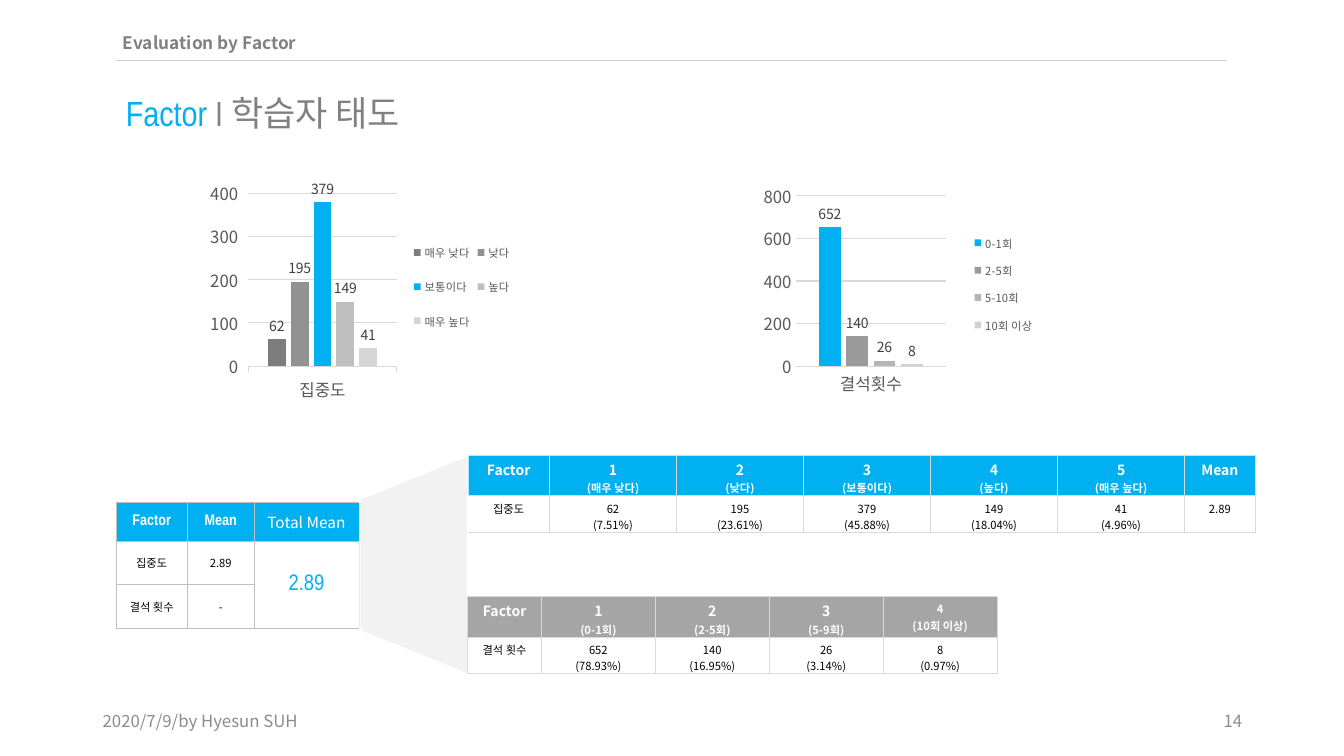
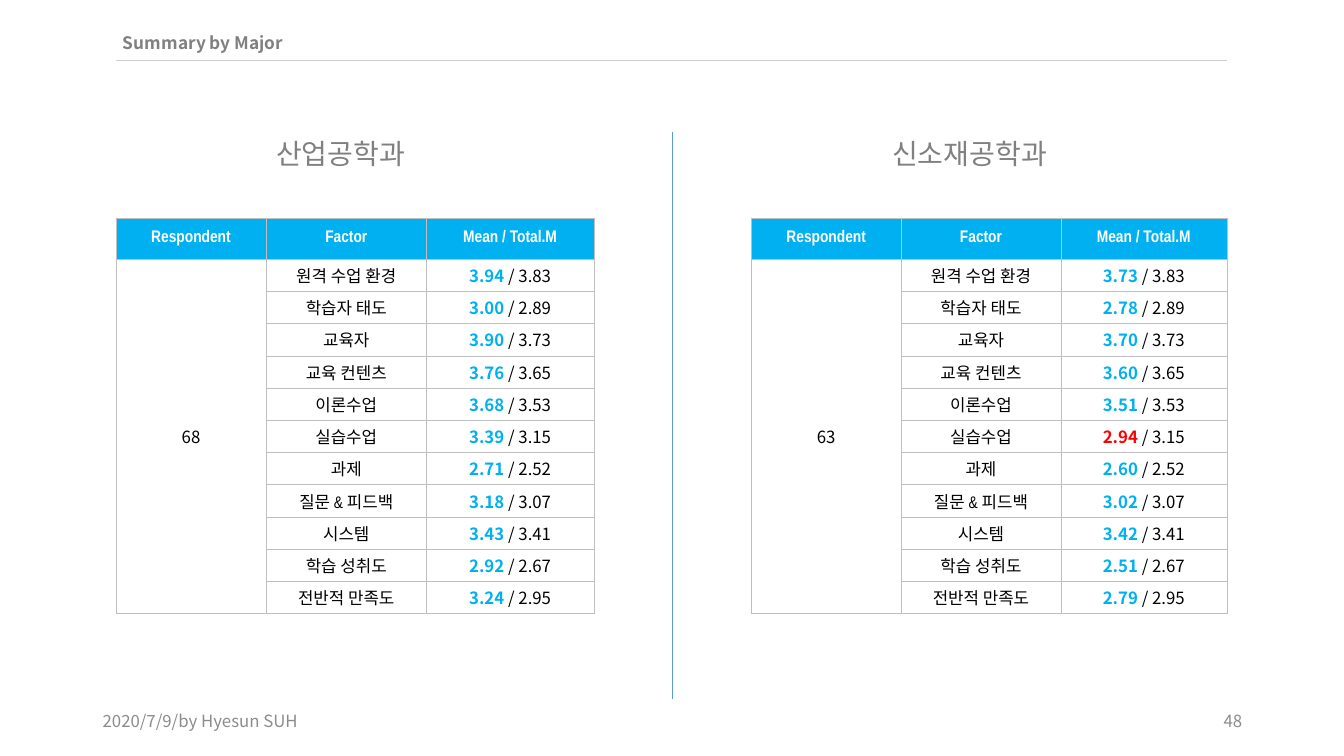
"""Build two survey slides: one factor's evaluation and a summary by major."""
from dataclasses import dataclass
from typing import NamedTuple

from lxml import etree
from pptx import Presentation
from pptx.chart.data import CategoryChartData
from pptx.dml.color import RGBColor
from pptx.enum.chart import XL_CHART_TYPE, XL_LABEL_POSITION, XL_LEGEND_POSITION, XL_TICK_MARK
from pptx.enum.shapes import MSO_CONNECTOR, MSO_SHAPE
from pptx.enum.text import MSO_ANCHOR, MSO_AUTO_SIZE, PP_ALIGN
from pptx.oxml.ns import qn
from pptx.util import Inches, Pt

COLUMNS = XL_CHART_TYPE.COLUMN_CLUSTERED
OUTSIDE_END = XL_LABEL_POSITION.OUTSIDE_END
LEGEND_BOTTOM = XL_LEGEND_POSITION.BOTTOM
TICK_OUT, TICK_NONE = XL_TICK_MARK.OUTSIDE, XL_TICK_MARK.NONE
STRAIGHT = MSO_CONNECTOR.STRAIGHT
FUNNEL = MSO_SHAPE.FLOWCHART_MANUAL_OPERATION
TOP, MIDDLE = MSO_ANCHOR.TOP, MSO_ANCHOR.MIDDLE
GROW = MSO_AUTO_SIZE.SHAPE_TO_FIT_TEXT
LEFT, CENTER, RIGHT = PP_ALIGN.LEFT, PP_ALIGN.CENTER, PP_ALIGN.RIGHT

ACCENT = RGBColor(0x00, 0xB0, 0xF0)
ALERT = RGBColor(0xFF, 0x00, 0x00)
WHITE = RGBColor(0xFF, 0xFF, 0xFF)
BLACK = RGBColor(0x00, 0x00, 0x00)
TITLE_GRAY = RGBColor(0x80, 0x80, 0x80)
FOOTER_GRAY = RGBColor(0x8C, 0x8C, 0x8C)
RULE_GRAY = RGBColor(0xD0, 0xCE, 0xCE)
BORDER_GRAY = RGBColor(0xBF, 0xBF, 0xBF)
GRID_GRAY = RGBColor(0xD9, 0xD9, 0xD9)
HEADER_GRAY = RGBColor(0xA5, 0xA5, 0xA5)
FUNNEL_GRAY = RGBColor(0xF2, 0xF2, 0xF2)
AXIS_GRAY = RGBColor(0x59, 0x59, 0x59)
LABEL_GRAY = RGBColor(0x40, 0x40, 0x40)
DIVIDER_BLUE = RGBColor(0x5B, 0x9B, 0xD5)

SANS = "Noto Sans CJK KR"
NARROW = "Arial Narrow"


class Box(NamedTuple):
    """A rectangle in inches, or in fractions of a chart."""
    left: float
    top: float
    width: float
    height: float


class Span(NamedTuple):
    """A piece of text with one format."""
    text: str
    size: float
    color: RGBColor = BLACK
    font: str = SANS
    bold: bool = False


class Cell(NamedTuple):
    """A table cell: one span per line, or several spans on a single line."""
    lines: tuple[tuple[Span, ...], ...]
    fill: RGBColor | None = None
    rows: int = 1


class Bar(NamedTuple):
    """One chart series with a single value."""
    name: str
    value: int
    color: RGBColor


@dataclass
class Grid:
    """A table's place, measures and border."""
    left: float
    top: float
    columns: list[float]
    rows: list[float]
    border: RGBColor
    border_width: float
    anchor: MSO_ANCHOR
    margins: tuple[float, float]


@dataclass
class ColumnChart:
    """A column chart with one category."""
    box: Box
    category: str
    bars: list[Bar]
    step: int
    tick: XL_TICK_MARK
    plot: Box
    legend: Box


def gray(level: int) -> RGBColor:
    """Return a neutral gray."""
    return RGBColor(level, level, level)


def inches(values: tuple[float, ...]) -> list[Inches]:
    """Turn numbers into lengths."""
    return [Inches(value) for value in values]


def add_span(para, text: str, *, size: float, color: RGBColor, font: str, bold: bool) -> None:
    """Append formatted text to a paragraph."""
    span = para.add_run()
    span.text = text
    span.font.size = Pt(size)
    span.font.color.rgb = color
    span.font.name = font
    span.font.bold = bold
    etree.SubElement(span._r.get_or_add_rPr(), qn("a:ea"), typeface=SANS)


def fill_para(para, spans: tuple[Span, ...], align: PP_ALIGN) -> None:
    """Write spans into a paragraph."""
    para.alignment = align
    for span in spans:
        add_span(para, **span._asdict())


def add_text(page, place: Box, *spans: Span, align: PP_ALIGN = LEFT, anchor: MSO_ANCHOR = TOP,
             insets: tuple[float, float] = (0.1, 0.05), grow: bool = True) -> None:
    """Add a text box of one paragraph."""
    frame = page.shapes.add_textbox(*inches(place)).text_frame
    frame.word_wrap = True
    frame.vertical_anchor = anchor
    frame.margin_left = frame.margin_right = Inches(insets[0])
    frame.margin_top = frame.margin_bottom = Inches(insets[1])
    if grow:
        frame.auto_size = GROW
    fill_para(frame.paragraphs[0], spans, align)


def add_line(page, ends: tuple[float, float, float, float], color: RGBColor) -> None:
    """Add a thin straight line."""
    line = page.shapes.add_connector(STRAIGHT, *inches(ends))
    line.line.color.rgb = color
    line.line.width = Pt(0.5)
    etree.SubElement(line._element.spPr, qn("a:effectLst"))


def set_borders(cell, color: RGBColor, width: float) -> None:
    """Draw all four borders of a table cell."""
    properties = cell._tc.get_or_add_tcPr()
    for index, side in enumerate(("lnL", "lnR", "lnT", "lnB")):
        line = etree.Element(qn(f"a:{side}"), w=str(Pt(width)))
        fill = etree.SubElement(line, qn("a:solidFill"))
        etree.SubElement(fill, qn("a:srgbClr"), val=str(color))
        properties.insert(index, line)


def add_table(page, grid: Grid, content: list[list[Cell | None]]) -> None:
    """Add a table; None marks a cell covered by a merge."""
    place = Box(grid.left, grid.top, sum(grid.columns), sum(grid.rows))
    table = page.shapes.add_table(len(grid.rows), len(grid.columns), *inches(place)).table
    table.first_row = table.horz_banding = False
    for column, width in zip(table.columns, grid.columns):
        column.width = Inches(width)
    for r, height in enumerate(grid.rows):
        table.rows[r].height = Inches(height)
        for c, item in enumerate(content[r]):
            cell = table.cell(r, c)
            cell.vertical_anchor = grid.anchor
            cell.margin_top, cell.margin_bottom = inches(grid.margins)
            if item and item.fill is not None:
                cell.fill.solid()
                cell.fill.fore_color.rgb = item.fill
            else:
                cell.fill.background()
            set_borders(cell, grid.border, grid.border_width)
            if item is None:
                continue
            if item.rows > 1:
                cell.merge(table.cell(r + item.rows - 1, c))
            for index, spans in enumerate(item.lines):
                frame = cell.text_frame
                para = frame.add_paragraph() if index else frame.paragraphs[0]
                fill_para(para, spans, CENTER)


def set_layout(parent, place: Box, index: int, inner: bool = False) -> None:
    """Give a chart part a fixed place."""
    for old in parent.findall(qn("c:layout")):
        parent.remove(old)
    layout = etree.Element(qn("c:layout"))
    manual = etree.SubElement(layout, qn("c:manualLayout"))
    values = {"layoutTarget": "inner"} if inner else {}
    values |= {"xMode": "edge", "yMode": "edge"}
    values |= {key: str(value) for key, value in zip("xywh", place)}
    for key, value in values.items():
        etree.SubElement(manual, qn(f"c:{key}"), val=value)
    parent.insert(index, layout)


def style_font(font, size: float, color: RGBColor) -> None:
    """Format chart text."""
    font.name, font.size, font.color.rgb = SANS, Pt(size), color


def add_chart(page, design: ColumnChart) -> None:
    """Add a column chart with value labels and a legend at the side."""
    data = CategoryChartData()
    data.categories = [design.category]
    for bar in design.bars:
        data.add_series(bar.name, [bar.value])
    chart = page.shapes.add_chart(COLUMNS, *inches(design.box), data).chart
    chart.has_title = False
    style_font(chart.font, 10, BLACK)
    plot = chart.plots[0]
    plot.gap_width, plot.overlap, plot.vary_by_categories = 219, -27, False
    for series, bar in zip(plot.series, design.bars):
        series.format.fill.solid()
        series.format.fill.fore_color.rgb = bar.color
        labels = series.data_labels
        labels.show_value = True
        labels.position = OUTSIDE_END
        style_font(labels.font, 10, LABEL_GRAY)
    for axis in (chart.category_axis, chart.value_axis):
        axis.major_tick_mark, axis.minor_tick_mark = design.tick, TICK_NONE
        style_font(axis.tick_labels.font, 12, AXIS_GRAY)
    scale = chart.value_axis
    scale.minimum_scale, scale.maximum_scale, scale.major_unit = 0, 4 * design.step, design.step
    scale.format.line.fill.background()
    for line in (chart.category_axis.format.line, scale.major_gridlines.format.line):
        line.color.rgb, line.width = GRID_GRAY, Pt(0.75)
    chart.has_legend = True
    chart.legend.position = LEGEND_BOTTOM
    chart.legend.include_in_layout = False
    style_font(chart.legend.font, 8, AXIS_GRAY)
    set_layout(chart.element.find(f".//{qn('c:plotArea')}"), design.plot, 0, inner=True)
    set_layout(chart.element.find(f".//{qn('c:legend')}"), design.legend, 1)


def add_page(deck, heading: str, number: int):
    """Add a slide with the shared heading, rule and footer."""
    page = deck.slides.add_slide(deck.slide_layouts[6])
    add_text(page, Box(1.15, 0.29, 6.7, 0.28), Span(heading, 12.3, TITLE_GRAY, bold=True),
             insets=(0.07, 0.03))
    add_line(page, (1.15, 0.6, 12.17, 0.6), RULE_GRAY)
    for left, text, align in ((0.92, "2020/7/9/by Hyesun SUH", LEFT), (9.42, str(number), RIGHT)):
        add_text(page, Box(left, 6.95, 3, 0.4), Span(text, 12, FOOTER_GRAY),
                 align=align, anchor=MIDDLE, grow=False)
    return page


def one_line(*spans: Span, fill: RGBColor | None = None, rows: int = 1) -> Cell:
    """Make a cell of one line."""
    return Cell((spans,), fill, rows)


def narrow_header(text: str, size: float) -> Cell:
    """Make a blue header cell."""
    return one_line(Span(text, size, WHITE, NARROW, True), fill=ACCENT)


def add_counts(page, top: float, columns: list[float], fill: RGBColor,
               header: list[str], values: list[str], small: int | None = None) -> None:
    """Add an answer count table; a bar splits a cell into two lines."""
    def make(text: str, first: float, color: RGBColor, back: RGBColor, bold: bool) -> Cell:
        return Cell(tuple((Span(part, 8 if index else first, color, bold=bold),)
                          for index, part in enumerate(text.split("|"))), back)
    grid = Grid(4.64, top, columns, [0.4, 0.36], GRID_GRAY, 0.75, TOP, (0.04, 0))
    add_table(page, grid, [
        [make(text, 8 if index == small else 10, WHITE, fill, True)
         for index, text in enumerate(header)],
        [make(text, 8, BLACK, WHITE, False) for text in values]])


def build_factor(deck) -> None:
    """Build the factor evaluation slide."""
    page = add_page(deck, "Evaluation by Factor", 14)
    add_text(page, Box(1.15, 0.86, 7.55, 0.52), Span("Factor ", 25, ACCENT, NARROW),
             Span("I 학습자 태도", 25, TITLE_GRAY, NARROW))
    grid = Grid(1.15, 4.98, [0.71, 0.66, 1.04], [0.39, 0.43, 0.43], BORDER_GRAY, 0.25,
                MIDDLE, (0.03, 0.03))
    add_table(page, grid, [
        [narrow_header("Factor", 11), narrow_header("Mean", 11),
         one_line(Span("Total Mean", 11, WHITE), fill=ACCENT)],
        [one_line(Span("집중도", 8)), one_line(Span("2.89", 8)),
         one_line(Span("2.89", 16, ACCENT, NARROW), rows=2)],
        [one_line(Span("결석 횟수", 8)), one_line(Span("-", 8)), None]])
    add_counts(page, 4.52, [0.81] + [1.26] * 5 + [0.7], ACCENT,
               ["Factor", "1|(매우 낮다)", "2|(낮다)", "3|(보통이다)", "4|(높다)", "5|(매우 높다)", "Mean"],
               ["집중도", "62|(7.51%)", "195|(23.61%)", "379|(45.88%)", "149|(18.04%)",
                "41|(4.96%)", "2.89"])
    funnel = page.shapes.add_shape(FUNNEL, *inches(Box(3.02, 5.07, 2.17, 1.07)))
    funnel.rotation = 90
    funnel.shadow.inherit = False
    funnel.fill.solid()
    funnel.fill.fore_color.rgb = FUNNEL_GRAY
    funnel.line.color.rgb, funnel.line.width = WHITE, Pt(1)
    add_chart(page, ColumnChart(
        Box(1.99, 1.75, 3.14, 2.77), "집중도",
        [Bar("매우 낮다", 62, gray(0x7D)), Bar("낮다", 195, gray(0x92)), Bar("보통이다", 379, ACCENT),
         Bar("높다", 149, gray(0xBF)), Bar("매우 높다", 41, gray(0xD5))],
        100, TICK_OUT, Box(0.15, 0.06, 0.47, 0.62), Box(0.66, 0.18, 0.33, 0.43)))
    add_chart(page, ColumnChart(
        Box(7.37, 1.75, 3.25, 2.77), "결석횟수",
        [Bar("0-1회", 652, ACCENT), Bar("2-5회", 140, gray(0x9B)), Bar("5-10회", 26, gray(0xB5)),
         Bar("10회 이상", 8, gray(0xD1))],
        200, TICK_NONE, Box(0.16, 0.07, 0.46, 0.61), Box(0.68, 0.17, 0.23, 0.43)))
    add_counts(page, 5.92, [0.73] + [1.13] * 4, HEADER_GRAY,
               ["Factor", "1|(0-1회)", "2|(2-5회)", "3|(5-9회)", "4|(10회 이상)"],
               ["결석 횟수", "652|(78.93%)", "140|(16.95%)", "26|(3.14%)", "8|(0.97%)"], small=4)


FACTORS = ["원격 수업 환경", "학습자 태도", "교육자", "교육 컨텐츠", "이론수업", "실습수업", "과제",
           "질문 & 피드백", "시스템", "학습 성취도", "전반적 만족도"]
TOTALS = "3.83 2.89 3.73 3.65 3.53 3.15 2.52 3.07 3.41 2.67 2.95".split()


def add_major(page, name: str, name_box: Box, left: float, columns: list[float],
              respondents: int, means: str, alert: str = "") -> None:
    """Add one major's title and table of means."""
    add_text(page, name_box, Span(name, 20, TITLE_GRAY, NARROW))
    content = [[narrow_header(text, 12) for text in ("Respondent", "Factor", "Mean / Total.M")]]
    for index, (factor, mean, total) in enumerate(zip(FACTORS, means.split(), TOTALS)):
        count = None if index else one_line(Span(str(respondents), 12), rows=len(FACTORS))
        color = ALERT if factor == alert else ACCENT
        content.append([count, one_line(Span(factor, 12, font=NARROW if index else SANS)),
                        one_line(Span(mean, 12, color, bold=True), Span(f" / {total}", 12))])
    rows = [0.41] + [0.32] * len(FACTORS)
    add_table(page, Grid(left, 2.16, columns, rows, BORDER_GRAY, 0.25, MIDDLE, (0.03, 0.03)), content)


def build_majors(deck) -> None:
    """Build the summary slide for two majors."""
    page = add_page(deck, "Summary by Major", 48)
    add_major(page, "산업공학과", Box(2.64, 1.31, 1.75, 0.44), 1.15, [1.49, 1.59, 1.66], 68,
              "3.94 3.00 3.90 3.76 3.68 3.39 2.71 3.18 3.43 2.92 3.24")
    add_line(page, (6.67, 6.93, 6.67, 1.31), DIVIDER_BLUE)
    add_major(page, "신소재공학과", Box(8.75, 1.31, 2.11, 0.44), 7.45, [1.49, 1.58, 1.65], 63,
              "3.73 2.78 3.70 3.60 3.51 2.94 2.60 3.02 3.42 2.51 2.79", alert="실습수업")


def main() -> None:
    """Build and save the deck."""
    deck = Presentation()
    deck.slide_width, deck.slide_height = Inches(13.33), Inches(7.5)
    build_factor(deck)
    build_majors(deck)
    deck.save("out.pptx")


if __name__ == "__main__":
    main()
